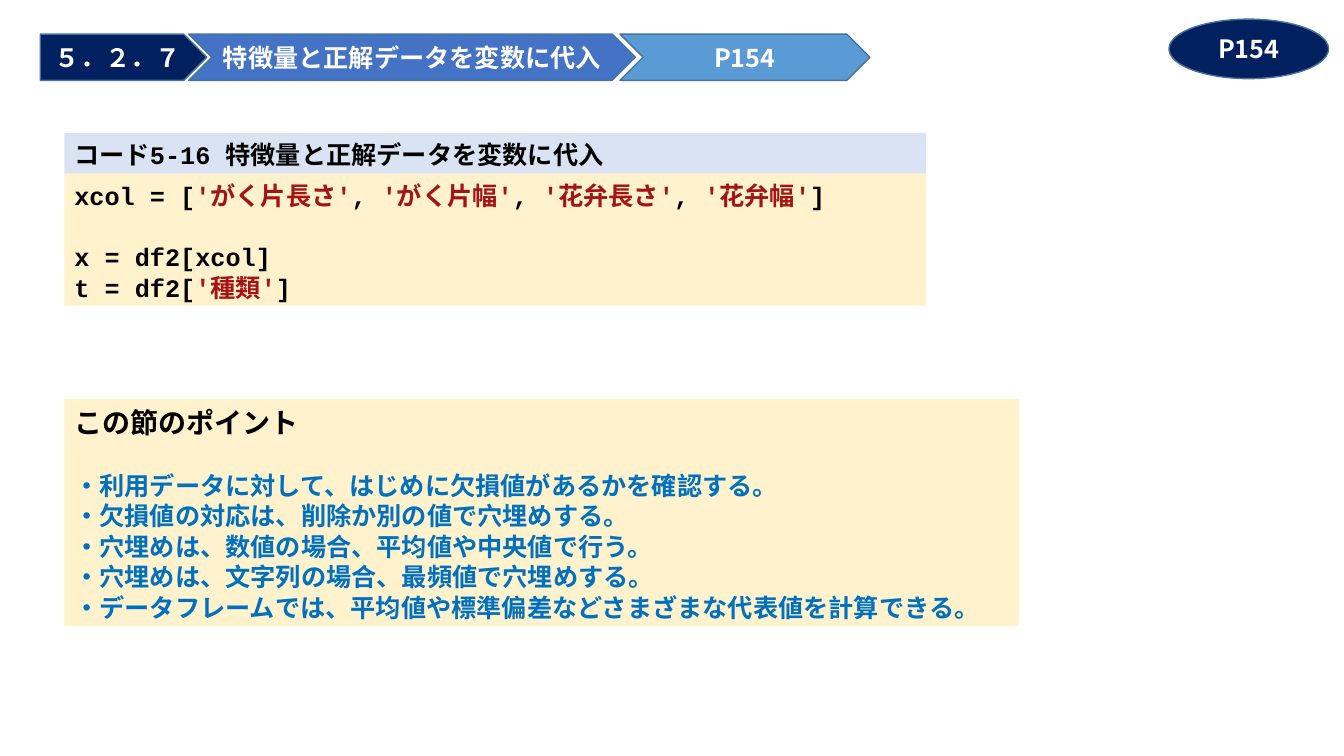
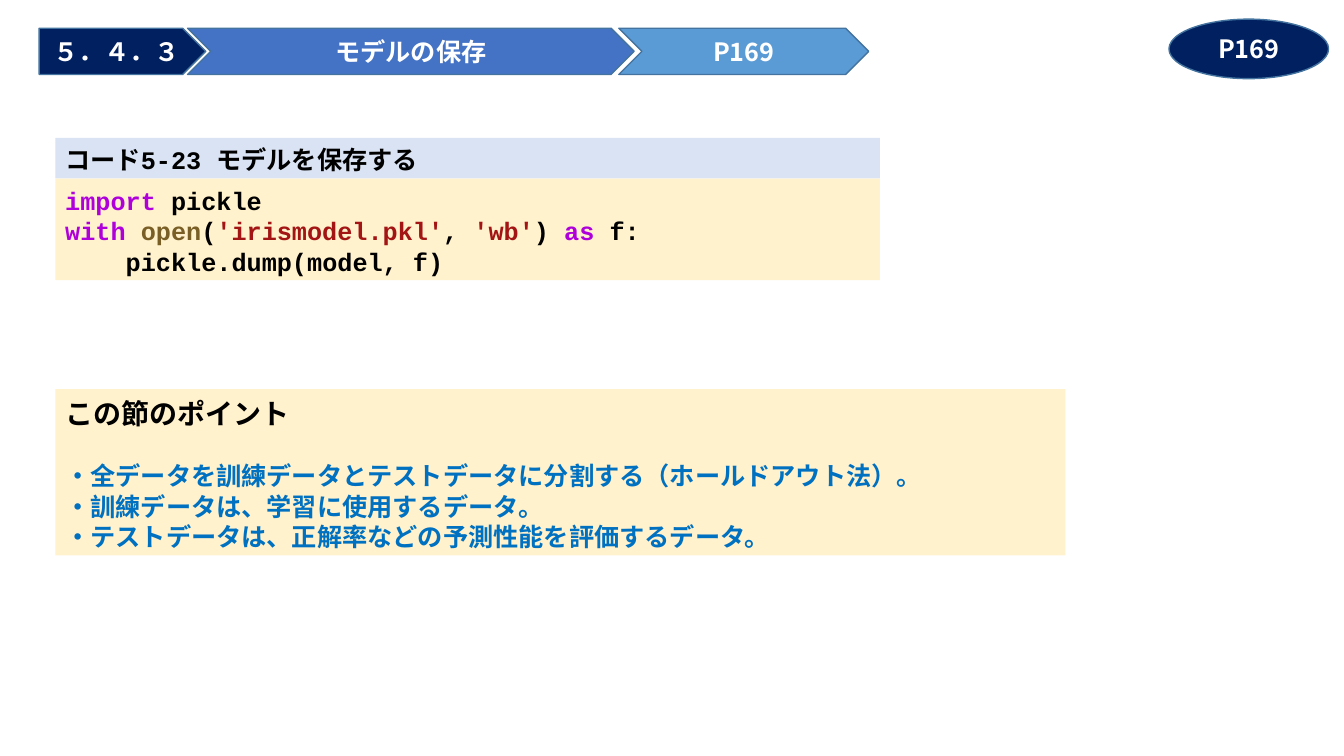
from dataclasses import dataclass

from pptx import Presentation
from pptx.dml.color import RGBColor
from pptx.enum.shapes import MSO_SHAPE
from pptx.enum.text import MSO_ANCHOR, PP_ALIGN
from pptx.oxml import parse_xml
from pptx.oxml.ns import nsdecls
from pptx.util import Pt


@dataclass(frozen=True)
class Theme:
    navy: str = "002060"
    blue: str = "4472C4"
    sky: str = "5B9BD5"
    outline: str = "43739E"
    caption_fill: str = "DAE3F3"
    panel_fill: str = "FFF2CC"
    white: str = "FFFFFF"
    text: str = "000000"
    point: str = "0070C0"
    string: str = "A31515"
    keyword: str = "AF00DB"
    builtin: str = "795E26"
    font: str = "Noto Sans CJK JP"
    code_font: str = "Courier New"
    size: float = 18
    heading_size: float = 20
    line: float = 21.8
    heading_line: float = 24.3
    inset: float = 4.6
    padding: float = 7.2
    caption_height: float = 29


THEME = Theme()


def add_block(slide, kind, left, top, width, height, fill, outline=None):
    shape = slide.shapes.add_shape(kind, Pt(left), Pt(top), Pt(width), Pt(height))
    shape.shadow.inherit = False
    shape.fill.solid()
    shape.fill.fore_color.rgb = RGBColor.from_string(fill)
    if outline:
        shape.line.color.rgb = RGBColor.from_string(outline)
        shape.line.width = Pt(1)
    else:
        shape.line.fill.background()
    return shape


def add_run(paragraph, text, color, font=THEME.font, size=THEME.size):
    """Add a bold run; Japanese characters always use the theme's main font."""
    run = paragraph.add_run()
    run.text = text
    run.font.name = font
    run.font.size = Pt(size)
    run.font.bold = True
    run.font.color.rgb = RGBColor.from_string(color)
    latin = run.font._element.find("{http://schemas.openxmlformats.org/drawingml/2006/main}latin")
    latin.addnext(parse_xml(f'<a:ea {nsdecls("a")} typeface="{THEME.font}"/>'))


def add_badge(slide, kind, left, top, width, height, fill, text):
    shape = add_block(slide, kind, left, top, width, height, fill, THEME.outline)
    frame = shape.text_frame
    frame.word_wrap = False
    frame.vertical_anchor = MSO_ANCHOR.MIDDLE
    paragraph = frame.paragraphs[0]
    paragraph.alignment = PP_ALIGN.CENTER
    add_run(paragraph, text, THEME.white)


def add_panel(slide, left, top, width, height, fill):
    """Add a filled rectangle for left-aligned text and return its frame."""
    frame = add_block(slide, MSO_SHAPE.RECTANGLE, left, top, width, height, fill).text_frame
    frame.word_wrap = True
    frame.vertical_anchor = MSO_ANCHOR.TOP
    frame.margin_top = Pt(THEME.inset)
    frame.margin_bottom = Pt(0)
    return frame


def add_line(frame, index, spacing=THEME.line, gap=0):
    paragraph = frame.paragraphs[0] if index == 0 else frame.add_paragraph()
    paragraph.alignment = PP_ALIGN.LEFT
    paragraph.line_spacing = Pt(spacing)
    paragraph.space_before = Pt(gap)
    return paragraph


def add_banner(slide, left, top, section, title, page):
    steps = [
        (MSO_SHAPE.PENTAGON, 119, 13, THEME.navy, section),
        (MSO_SHAPE.CHEVRON, 319, 11, THEME.blue, title),
        (MSO_SHAPE.CHEVRON, 178.5, 0, THEME.sky, page),
    ]
    for kind, width, overlap, fill, text in steps:
        add_badge(slide, kind, left, top, width, 33, fill, text)
        left += width - overlap
    add_badge(slide, MSO_SHAPE.OVAL, 835, 13.7, 114, 42.5, THEME.navy, page)


def add_code(slide, left, top, width, caption, lines):
    """Lines are lists of (text, colour) tokens; an empty list leaves a gap."""
    frame = add_panel(slide, left, top, width, THEME.caption_height, THEME.caption_fill)
    add_run(add_line(frame, 0), caption, THEME.text, THEME.code_font)

    height = THEME.padding + THEME.line * len(lines)
    frame = add_panel(slide, left, top + THEME.caption_height, width, height, THEME.panel_fill)
    gap = 0
    for index, tokens in enumerate(lines):
        if not tokens:
            gap = THEME.line
            continue
        paragraph = add_line(frame, index, gap=gap)
        gap = 0
        for text, color in tokens:
            add_run(paragraph, text, color, THEME.code_font)


def add_points(slide, left, top, width, points):
    height = THEME.padding + THEME.heading_line + THEME.line * (len(points) + 1)
    frame = add_panel(slide, left, top, width, height, THEME.panel_fill)
    heading = add_line(frame, 0, THEME.heading_line)
    add_run(heading, "この節のポイント", THEME.text, size=THEME.heading_size)
    for index, point in enumerate(points, start=1):
        paragraph = add_line(frame, index, gap=THEME.line if index == 1 else 0)
        add_run(paragraph, f"・{point}", THEME.point)


def add_variables_slide(slide):
    plain, string = THEME.text, THEME.string
    add_banner(slide, 28.8, 24.4, "５．２．７", "特徴量と正解データを変数に代入", "P154")
    add_code(slide, 46, 95, 615.6, "コード5-16 特徴量と正解データを変数に代入", [
        [("xcol = [", plain), ("'がく片長さ'", string), (", ", plain),
         ("'がく片幅'", string), (", ", plain), ("'花弁長さ'", string),
         (", ", plain), ("'花弁幅'", string), ("]", plain)],
        [],
        [("x = df2[xcol]", plain)],
        [("t = df2[", plain), ("'種類'", string), ("]", plain)],
    ])
    add_points(slide, 46, 285, 682, [
        "利用データに対して、はじめに欠損値があるかを確認する。",
        "欠損値の対応は、削除か別の値で穴埋めする。",
        "穴埋めは、数値の場合、平均値や中央値で行う。",
        "穴埋めは、文字列の場合、最頻値で穴埋めする。",
        "データフレームでは、平均値や標準偏差などさまざまな代表値を計算できる。",
    ])


def add_saving_slide(slide):
    plain, string, keyword = THEME.text, THEME.string, THEME.keyword
    add_banner(slide, 28, 20.2, "５．４．３", "モデルの保存", "P169")
    add_code(slide, 39.5, 98.5, 589, "コード5-23 モデルを保存する", [
        [("import", keyword), (" pickle", plain)],
        [("with ", keyword), ("open", THEME.builtin), ("(", plain),
         ("'irismodel.pkl'", string), (", ", plain), ("'wb'", string),
         (") ", plain), ("as", keyword), (" f:", plain)],
        [("    pickle.dump(model, f)", plain)],
    ])
    add_points(slide, 39.5, 278, 721.5, [
        "全データを訓練データとテストデータに分割する（ホールドアウト法）。",
        "訓練データは、学習に使用するデータ。",
        "テストデータは、正解率などの予測性能を評価するデータ。",
    ])


def main():
    presentation = Presentation()
    presentation.slide_width = Pt(960)
    presentation.slide_height = Pt(540)
    blank = presentation.slide_layouts[6]
    for fill_slide in (add_variables_slide, add_saving_slide):
        fill_slide(presentation.slides.add_slide(blank))
    presentation.save("out.pptx")


if __name__ == "__main__":
    main()
